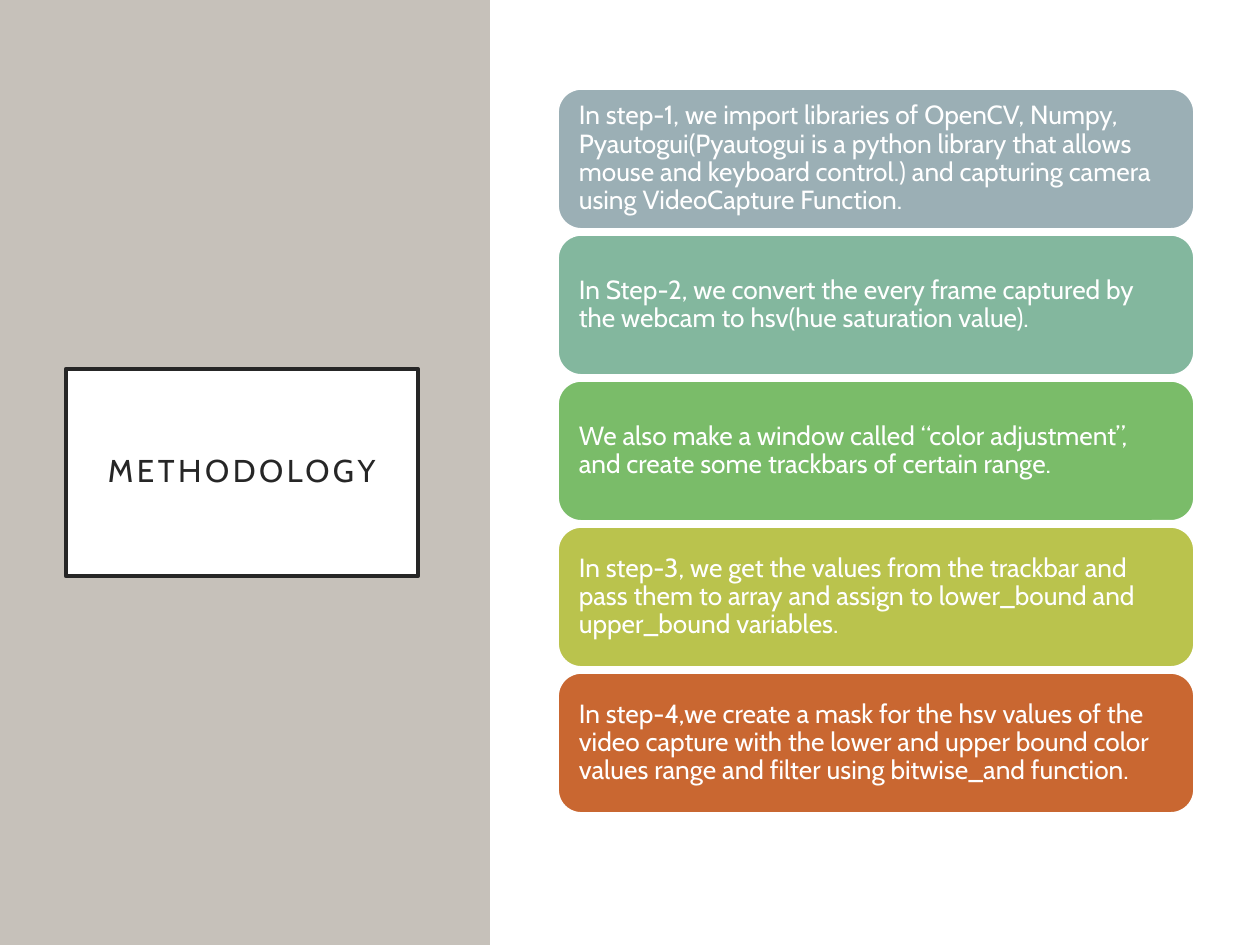
from pptx import Presentation
from pptx import util as u
from pptx.dml.color import RGBColor
from pptx.enum import shapes, text

PX = 914400 / 126
FONT = "Cabin"
WHITE = RGBColor(0xFF, 0xFF, 0xFF)
INK = RGBColor(0x26, 0x26, 0x26)
STONE = RGBColor(0xC6, 0xC1, 0xBA)
SLATE = RGBColor(0x9B, 0xAF, 0xB5)
SAGE = RGBColor(0x83, 0xB7, 0x9E)
GREEN = RGBColor(0x7A, 0xBC, 0x69)
OLIVE = RGBColor(0xBA, 0xC3, 0x4D)
RUST = RGBColor(0xC9, 0x67, 0x31)

STEPS = [
    (SLATE, "In step-1, we import libraries of OpenCV, Numpy, Pyautogui(Pyautogui is a python "
            "library that allows mouse and keyboard control.) and capturing camera using "
            "VideoCapture Function."),
    (SAGE, "In Step-2, we convert the every frame captured by the webcam to hsv(hue "
           "saturation value)."),
    (GREEN, "We also make a window called “color adjustment”, and create some trackbars of "
            "certain range."),
    (OLIVE, "In step-3, we get the values from the trackbar and pass them to array and assign "
            "to lower_bound and upper_bound variables."),
    (RUST, "In step-4,we create a mask for the hsv values of the video capture with the lower "
           "and upper bound color values range and filter using bitwise_and function."),
]


def px(n):
    return u.Emu(round(n * PX))


def paint(sp, fill, line=None, weight=1):
    sp.fill.solid()
    sp.fill.fore_color.rgb = fill
    if line is None:
        sp.line.fill.background()
    else:
        sp.line.color.rgb = line
        sp.line.width = u.Pt(weight)


def add_box(s, kind, x, y, w, h, fill, line=None):
    sp = s.shapes.add_shape(kind, px(x), px(y), px(w), px(h))
    sp.shadow.inherit = False
    paint(sp, fill, line)
    return sp


def write(sp, words, size, color, align, inset):
    tf = sp.text_frame
    tf.word_wrap = True
    tf.auto_size = text.MSO_AUTO_SIZE.NONE
    tf.vertical_anchor = text.MSO_ANCHOR.MIDDLE
    tf.margin_left = tf.margin_right = tf.margin_top = tf.margin_bottom = px(inset)
    p = tf.paragraphs[0]
    p.alignment = align
    p.line_spacing = 0.9
    r = p.add_run()
    r.text = words
    r.font.name = FONT
    r.font.size = u.Pt(size)
    r.font.color.rgb = color
    return r


def title_panel(s, x, y, w, h):
    panel = add_box(s, shapes.MSO_SHAPE.RECTANGLE, x, y, w, h, STONE)
    title = s.shapes.title
    title.element.addprevious(panel.element)
    title.left, title.top = px(x + 66), px(y + 369)
    title.width, title.height = px(352), px(207)
    paint(title, WHITE, INK, 2.5)
    r = write(title, "METHODOLOGY", 18, INK, text.PP_ALIGN.CENTER, 25)
    r.font._element.set("spc", "200")


def step_panel(s, x, y, w, h):
    add_box(s, shapes.MSO_SHAPE.RECTANGLE, x, y, w, h, WHITE)
    card_h, gap = 140, 6
    for i, (color, words) in enumerate(STEPS):
        top = y + 89 + i * (card_h + gap)
        card = add_box(s, shapes.MSO_SHAPE.ROUNDED_RECTANGLE,
                       x + 67, top, 636, card_h, color, WHITE)
        write(card, words, 15, WHITE, text.PP_ALIGN.LEFT, 14)


def main():
    prs = Presentation()
    prs.slide_width, prs.slide_height = px(1260), px(945)
    s = prs.slides.add_slide(prs.slide_layouts[5])
    title_panel(s, 0, 0, 490, 945)
    step_panel(s, 491, 0, 769, 945)
    prs.save("out.pptx")


if __name__ == "__main__":
    main()
